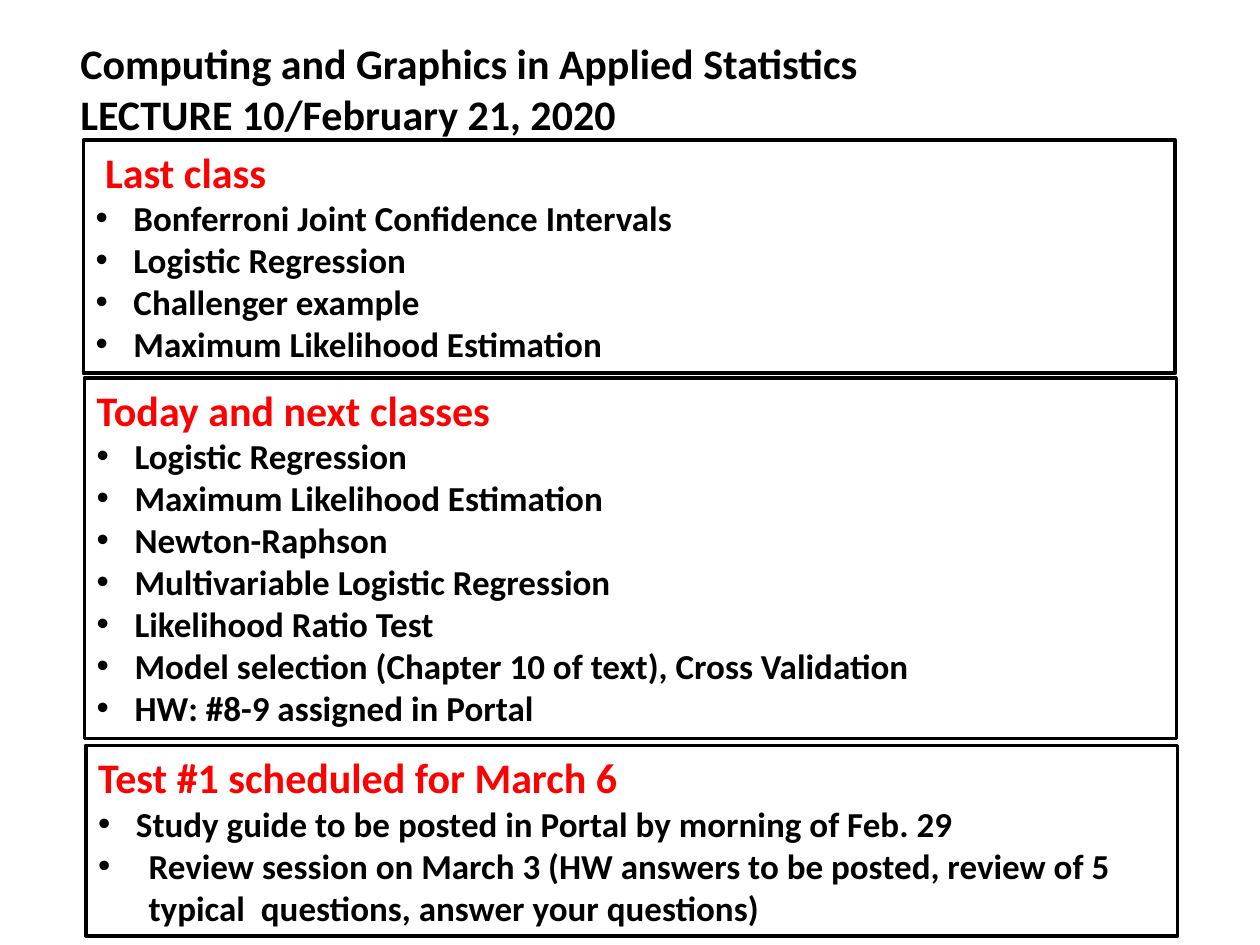
from dataclasses import dataclass

from lxml.etree import SubElement
from pptx import Presentation
from pptx.dml.color import RGBColor
from pptx.enum.shapes import MSO_SHAPE
from pptx.enum.text import MSO_ANCHOR, PP_ALIGN
from pptx.oxml.ns import qn
from pptx.util import Pt


@dataclass(frozen=True)
class Theme:
    font: str = "Calibri"
    ink: RGBColor = RGBColor(0, 0, 0)
    accent: RGBColor = RGBColor(255, 0, 0)
    paper: RGBColor = RGBColor(255, 255, 255)
    heading_size: Pt = Pt(24)
    item_size: Pt = Pt(20)
    border: Pt = Pt(2)


THEME = Theme()
PANEL_WIDTH = 624
ITEM_INDENT = 21.6
WIDE_INDENT = 28.8

TITLE = [
    "Computing and Graphics in Applied Statistics",
    "LECTURE 10/February 21, 2020",
]
LAST_CLASS = [
    "Bonferroni Joint Confidence Intervals",
    "Logistic Regression",
    "Challenger example",
    "Maximum Likelihood Estimation",
]
NEXT_CLASSES = [
    "Logistic Regression",
    "Maximum Likelihood Estimation",
    "Newton-Raphson",
    "Multivariable Logistic Regression",
    "Likelihood Ratio Test",
    "Model selection (Chapter 10 of text), Cross Validation",
    "HW: #8-9 assigned in Portal",
]
STUDY_GUIDE = "Study guide to be posted in Portal by morning of Feb. 29"
REVIEW_SESSION = (
    "Review session on March 3 (HW answers to be posted, "
    "review of 5 typical  questions, answer your questions)"
)


def set_indent(paragraph, left, first_line=0):
    properties = paragraph._p.get_or_add_pPr()
    properties.set("marL", str(Pt(left)))
    properties.set("indent", str(Pt(first_line)))
    return properties


def add_bullet(paragraph, indent):
    properties = set_indent(paragraph, indent, -indent)
    SubElement(properties, qn("a:buFont"), typeface="Arial")
    SubElement(properties, qn("a:buChar"), char="•")


def style_paragraph(paragraph, size, color):
    paragraph.alignment = PP_ALIGN.LEFT
    font = paragraph.font
    font.name = THEME.font
    font.size = size
    font.bold = True
    font.color.rgb = color


def add_title(page, lines):
    box = page.shapes.add_textbox(Pt(38.9), Pt(18), Pt(576), Pt(94.3))
    frame = box.text_frame
    frame.word_wrap = True
    frame.text = "\n".join(lines)
    for paragraph in frame.paragraphs:
        style_paragraph(paragraph, THEME.heading_size, THEME.ink)


def add_panel(page, left, top, height, heading, items, heading_indent=0):
    panel = page.shapes.add_shape(
        MSO_SHAPE.RECTANGLE, Pt(left), Pt(top), Pt(PANEL_WIDTH), Pt(height)
    )
    panel.shadow.inherit = False
    panel.fill.solid()
    panel.fill.fore_color.rgb = THEME.paper
    panel.line.color.rgb = THEME.ink
    panel.line.width = THEME.border

    frame = panel.text_frame
    frame.word_wrap = True
    frame.vertical_anchor = MSO_ANCHOR.TOP
    title = frame.paragraphs[0]
    title.text = heading
    set_indent(title, heading_indent)
    style_paragraph(title, THEME.heading_size, THEME.accent)
    for text, indent in items:
        item = frame.add_paragraph()
        item.text = text
        add_bullet(item, indent)
        style_paragraph(item, THEME.item_size, THEME.ink)


def with_indent(texts):
    return [(text, ITEM_INDENT) for text in texts]


def main():
    deck = Presentation()
    deck.slide_width, deck.slide_height = Pt(720), Pt(540)
    page = deck.slides.add_slide(deck.slide_layouts[6])

    add_title(page, TITLE)
    add_panel(page, 47.6, 80, 133.3, "Last class", with_indent(LAST_CLASS), 5.4)
    add_panel(page, 48.2, 216, 206, "Today and next classes", with_indent(NEXT_CLASSES))
    test_items = [(STUDY_GUIDE, ITEM_INDENT), (REVIEW_SESSION, WIDE_INDENT)]
    add_panel(page, 49, 426, 108.8, "Test #1 scheduled for March 6", test_items)
    deck.save("out.pptx")


if __name__ == "__main__":
    main()
